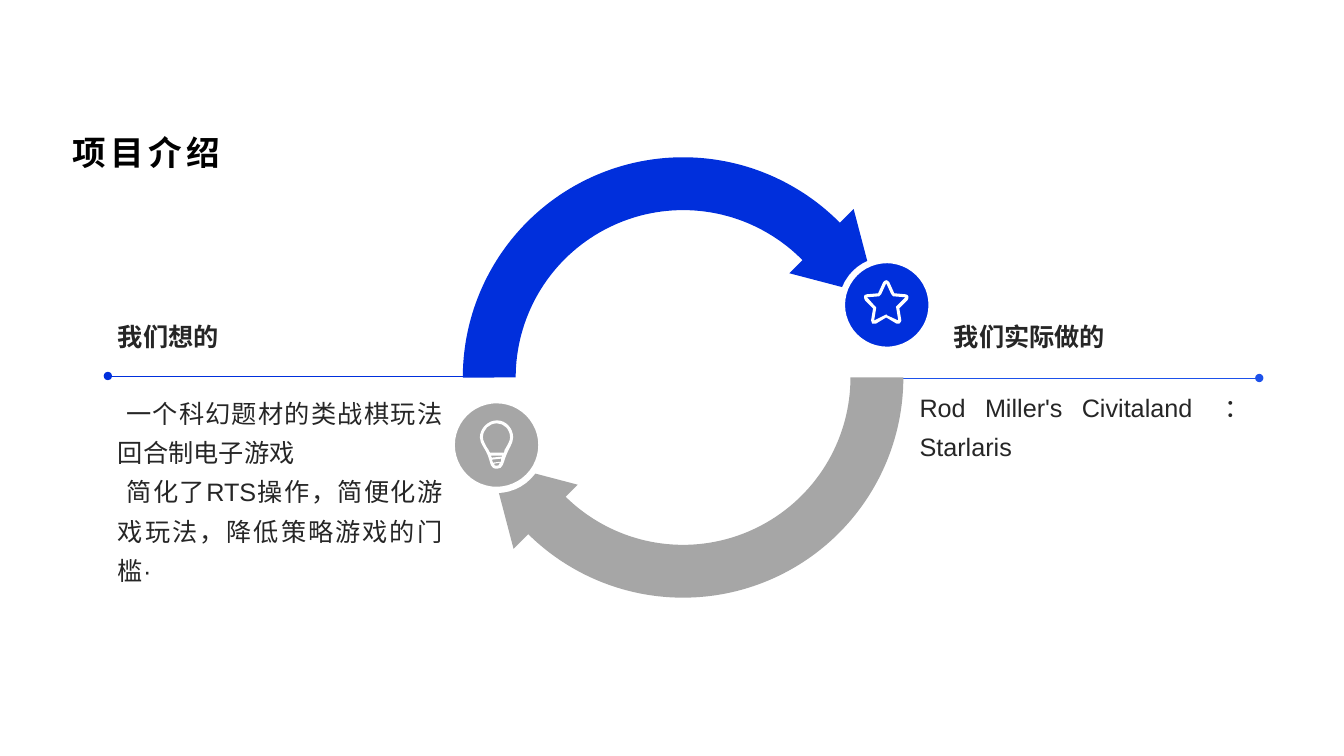
from dataclasses import dataclass

from lxml.etree import SubElement
from pptx import Presentation
from pptx.dml.color import RGBColor
from pptx.enum.shapes import MSO_CONNECTOR, MSO_SHAPE
from pptx.enum.text import MSO_ANCHOR, MSO_AUTO_SIZE, PP_ALIGN
from pptx.oxml.ns import qn
from pptx.util import Inches, Pt


@dataclass(frozen=True)
class Theme:
    blue: str = "002FDC"
    dot_blue: str = "1D51EA"
    gray: str = "A6A6A6"
    white: str = "FFFFFF"
    ink: str = "262626"
    black: str = "000000"
    latin: str = "Arial"
    chinese: str = "Noto Sans CJK SC"
    title_size: int = 24
    text_size: int = 18


@dataclass(frozen=True)
class Box:
    left: float
    top: float
    width: float
    height: float

    def emu(self) -> tuple:
        return tuple(Inches(v) for v in (self.left, self.top, self.width, self.height))


@dataclass(frozen=True)
class Copy:
    placeholder: int
    box: Box
    lines: tuple[str, ...]
    color: str
    size: int
    font: str
    bold: bool = False
    anchor: MSO_ANCHOR = MSO_ANCHOR.TOP
    align: PP_ALIGN = PP_ALIGN.LEFT
    line_spacing: float = 1.3
    tracking: int = 0


@dataclass(frozen=True)
class Arrow:
    color: str
    turn: int
    head: Box
    badge: Box
    icon: tuple[str, ...]


@dataclass(frozen=True)
class Rule:
    start: float
    end: float
    y: float
    color: str


THEME = Theme()
RING = Box(4.59, 1.56, 4.37, 4.37)

STAR = (
    "8.89 3.04|8.89 3.04 8.88 3.05 8.89 3.06|8.91 3.18|8.8 3.13"
    "|8.8 3.12 8.79 3.12 8.79 3.12|8.78 3.12 8.78 3.12 8.77 3.13|8.67 3.18"
    "|8.69 3.06|8.69 3.05 8.69 3.04 8.68 3.04|8.6 2.95|8.72 2.94"
    "|8.73 2.93 8.73 2.93 8.74 2.92|8.79 2.81|8.84 2.92"
    "|8.84 2.93 8.85 2.93 8.86 2.94|8.98 2.95|8.98 2.95 8.89 3.04 8.89 3.04",
    "9.01 2.94|9 2.93 9 2.92 8.98 2.92|8.87 2.91|8.82 2.8"
    "|8.81 2.79 8.8 2.78 8.79 2.78|8.78 2.78 8.77 2.79 8.76 2.8|8.71 2.91"
    "|8.6 2.92|8.58 2.92 8.57 2.93 8.57 2.94|8.57 2.95 8.57 2.97 8.58 2.98"
    "|8.66 3.06|8.64 3.18|8.64 3.19 8.64 3.2 8.65 3.21"
    "|8.66 3.21 8.67 3.21 8.67 3.21|8.68 3.21 8.68 3.21 8.69 3.21|8.79 3.15"
    "|8.89 3.21|8.89 3.21 8.9 3.21 8.91 3.21|8.91 3.21 8.92 3.21 8.92 3.21"
    "|8.93 3.2 8.94 3.19 8.94 3.18|8.92 3.06|9 2.98|9.01 2.97 9.01 2.95 9.01 2.94",
)
BULB = (
    "5 4.49|4.86 4.49|4.85 4.47 4.84 4.45 4.83 4.44|4.81 4.4 4.79 4.37 4.79 4.34"
    "|4.79 4.26 4.85 4.2 4.93 4.2|5 4.2 5.06 4.26 5.06 4.34"
    "|5.06 4.37 5.04 4.4 5.02 4.44|5.01 4.45 5 4.47 5 4.49",
    "4.93 4.62|4.91 4.62 4.9 4.62 4.9 4.6|4.96 4.59|4.95 4.62 4.94 4.62 4.93 4.62",
    "4.88 4.54|4.88 4.54 4.87 4.53 4.87 4.52|4.98 4.52|4.98 4.52 4.98 4.53 4.98 4.53"
    "|4.98 4.53 4.88 4.54 4.88 4.54",
    "4.97 4.58|4.89 4.59|4.89 4.58 4.89 4.57 4.88 4.56|4.88 4.56 4.88 4.56 4.88 4.56"
    "|4.97 4.55|4.97 4.55 4.97 4.56 4.97 4.56|4.97 4.57 4.97 4.57 4.97 4.58",
    "4.93 4.17|4.84 4.17 4.76 4.25 4.76 4.34|4.76 4.4 4.82 4.46 4.84 4.52"
    "|4.87 4.6 4.86 4.65 4.93 4.65|4.99 4.65 4.99 4.6 5.02 4.52"
    "|5.04 4.46 5.09 4.4 5.09 4.34|5.09 4.25 5.02 4.17 4.93 4.17",
)

ARROWS = (
    Arrow(THEME.blue, 180, Box(7.97, 2.28, 0.9, 0.77), Box(8.35, 2.58, 0.89, 0.89), STAR),
    Arrow(THEME.gray, 0, Box(4.69, 4.47, 0.9, 0.77), Box(4.48, 3.97, 0.89, 0.89), BULB),
)
RULES = (
    Rule(8.44, 12.49, 3.75, THEME.dot_blue),
    Rule(5.09, 1.07, 3.73, THEME.blue),
)


def heading(placeholder: int, box: Box, line: str) -> Copy:
    return Copy(placeholder, box, (line,), THEME.ink, THEME.text_size, THEME.latin,
                bold=True, anchor=MSO_ANCHOR.MIDDLE)


def body(placeholder: int, box: Box, *lines: str) -> Copy:
    return Copy(placeholder, box, lines, THEME.ink, THEME.text_size, THEME.latin,
                align=PP_ALIGN.JUSTIFY)


COPIES = (
    Copy(0, Box(0.62, 1.15, 11.87, 0.61), ("项目介绍",), THEME.black, THEME.title_size,
         THEME.chinese, bold=True, anchor=MSO_ANCHOR.BOTTOM, line_spacing=0.9, tracking=300),
    heading(1, Box(1.07, 3.03, 3.54, 0.52), "我们想的"),
    body(2, Box(1.07, 3.81, 3.42, 2.09),
         " 一个科幻题材的类战棋玩法回合制电子游戏",
         " 简化了RTS操作，简便化游戏玩法，降低策略游戏的门槛·"),
    heading(3, Box(9.36, 3.03, 3.24, 0.52), "我们实际做的"),
    body(4, Box(9.02, 3.75, 3.47, 2.09), "Rod Miller's Civitaland ：Starlaris"),
)


def write_copy(slide, copy: Copy) -> None:
    holder = slide.placeholders[copy.placeholder]
    holder.left, holder.top, holder.width, holder.height = copy.box.emu()
    frame = holder.text_frame
    frame.text = "\n".join(copy.lines)
    frame.word_wrap = True
    frame.auto_size = MSO_AUTO_SIZE.NONE
    frame.vertical_anchor = copy.anchor
    for paragraph in frame.paragraphs:
        paragraph.alignment = copy.align
        paragraph.line_spacing = copy.line_spacing
        paragraph.space_before = Pt(0)
        properties = paragraph._p.get_or_add_pPr()
        properties.set("marL", "0")
        properties.set("indent", "0")
        SubElement(properties, qn("a:buNone"))
        for run in paragraph.runs:
            run.font.name = copy.font
            run.font.size = Pt(copy.size)
            run.font.bold = copy.bold
            run.font.color.rgb = RGBColor.from_string(copy.color)
            letters = run._r.get_or_add_rPr()
            letters.set("spc", str(copy.tracking))
            SubElement(letters, qn("a:ea")).set("typeface", THEME.chinese)


def paint(shape, color: str) -> None:
    shape.shadow.inherit = False
    shape.fill.solid()
    shape.fill.fore_color.rgb = RGBColor.from_string(color)
    shape.line.fill.background()


def add_preset(slide, kind: MSO_SHAPE, box: Box, color: str, turn: int = 0):
    shape = slide.shapes.add_shape(kind, *box.emu())
    paint(shape, color)
    shape.rotation = turn
    return shape


def read_contour(contour: str) -> list[list[tuple[int, int]]]:
    segments = []
    for segment in contour.split("|"):
        values = [round(float(v) * 100) for v in segment.split()]
        segments.append(list(zip(values[::2], values[1::2])))
    return segments


def add_icon(slide, contours: tuple[str, ...]) -> None:
    outlines = [read_contour(contour) for contour in contours]
    ends = [[segment[-1] for segment in outline] for outline in outlines]
    builder = slide.shapes.build_freeform(*ends[0][0], scale=Inches(1) / 100)
    for index, points in enumerate(ends):
        if index:
            builder.move_to(*points[0])
        builder.add_line_segments(points[1:], close=True)
    icon = builder.convert_to_shape()
    paint(icon, THEME.white)
    left, top = (min(p[axis] for points in ends for p in points) for axis in (0, 1))
    segments = [segment for outline in outlines for segment in outline[1:]]
    for step, segment in zip(list(icon._element.iter(qn("a:lnTo"))), segments):
        if len(segment) == 3:
            step.tag = qn("a:cubicBezTo")
            step.clear()
            for x, y in segment:
                SubElement(step, qn("a:pt"), x=str(x - left), y=str(y - top))


def add_rule(slide, rule: Rule) -> None:
    line = slide.shapes.add_connector(
        MSO_CONNECTOR.STRAIGHT, Inches(rule.start), Inches(rule.y),
        Inches(rule.end), Inches(rule.y))
    line.line.color.rgb = RGBColor.from_string(rule.color)
    line.line.width = Pt(0.5)
    SubElement(line.line._get_or_add_ln(), qn("a:tailEnd")).set("type", "oval")
    SubElement(line._element.spPr, qn("a:effectLst"))


def add_arrow(slide, arrow: Arrow) -> None:
    arc = add_preset(slide, MSO_SHAPE.BLOCK_ARC, RING, arrow.color, arrow.turn)
    for index, value in enumerate((216, 81.81, 0.12)):
        arc.adjustments[index] = value
    add_preset(slide, MSO_SHAPE.ISOSCELES_TRIANGLE, arrow.head, arrow.color,
               (arrow.turn + 315) % 360)
    badge = add_preset(slide, MSO_SHAPE.OVAL, arrow.badge, arrow.color)
    badge.line.color.rgb = RGBColor.from_string(THEME.white)
    badge.line.width = Pt(4.5)
    add_icon(slide, arrow.icon)


def main() -> None:
    deck = Presentation()
    deck.slide_width, deck.slide_height = Inches(13.33), Inches(7.5)
    slide = deck.slides.add_slide(deck.slide_layouts.get_by_name("Comparison"))
    for copy in COPIES:
        write_copy(slide, copy)
    for rule in RULES:
        add_rule(slide, rule)
    for arrow in ARROWS:
        add_arrow(slide, arrow)
    deck.save("out.pptx")


if __name__ == "__main__":
    main()
